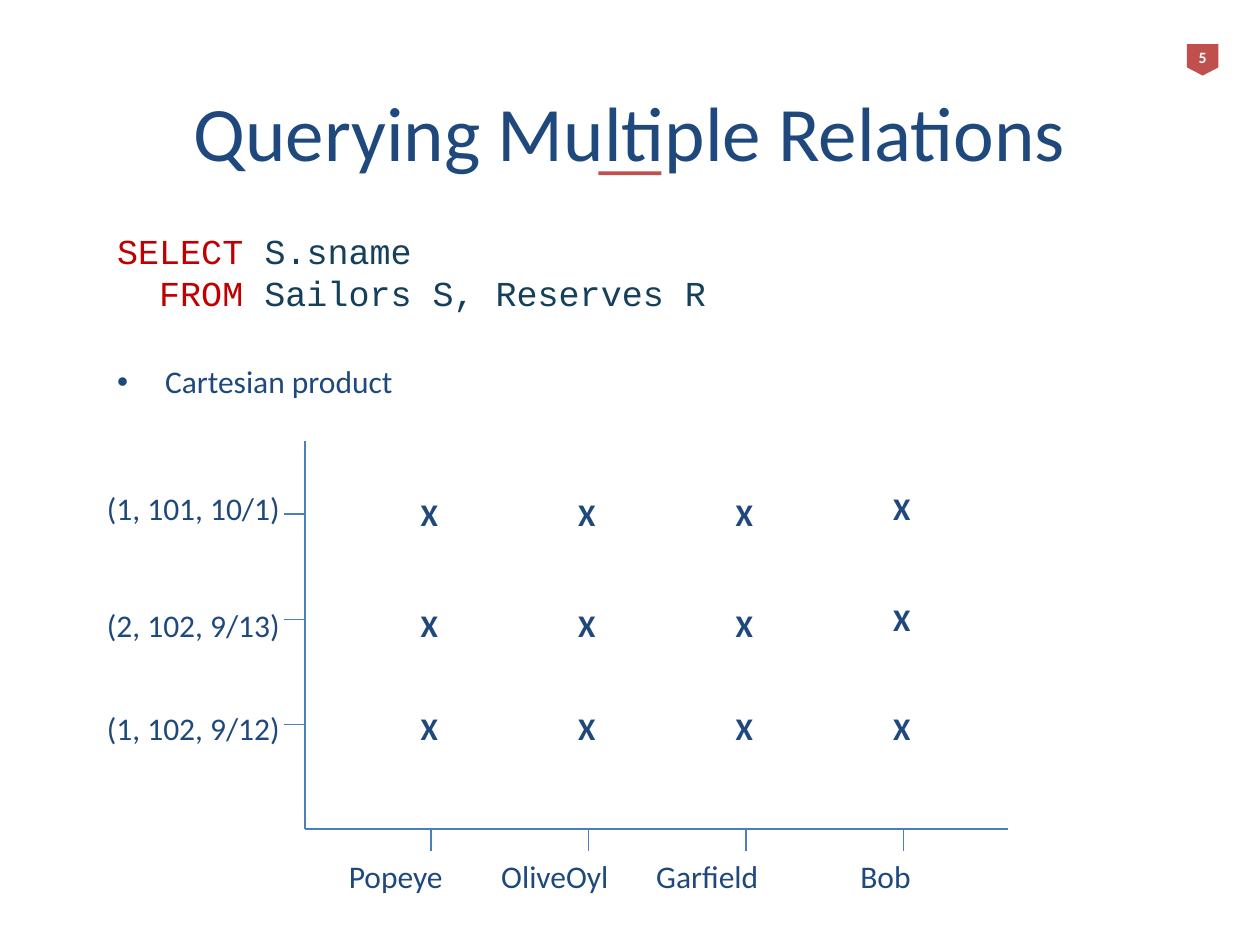
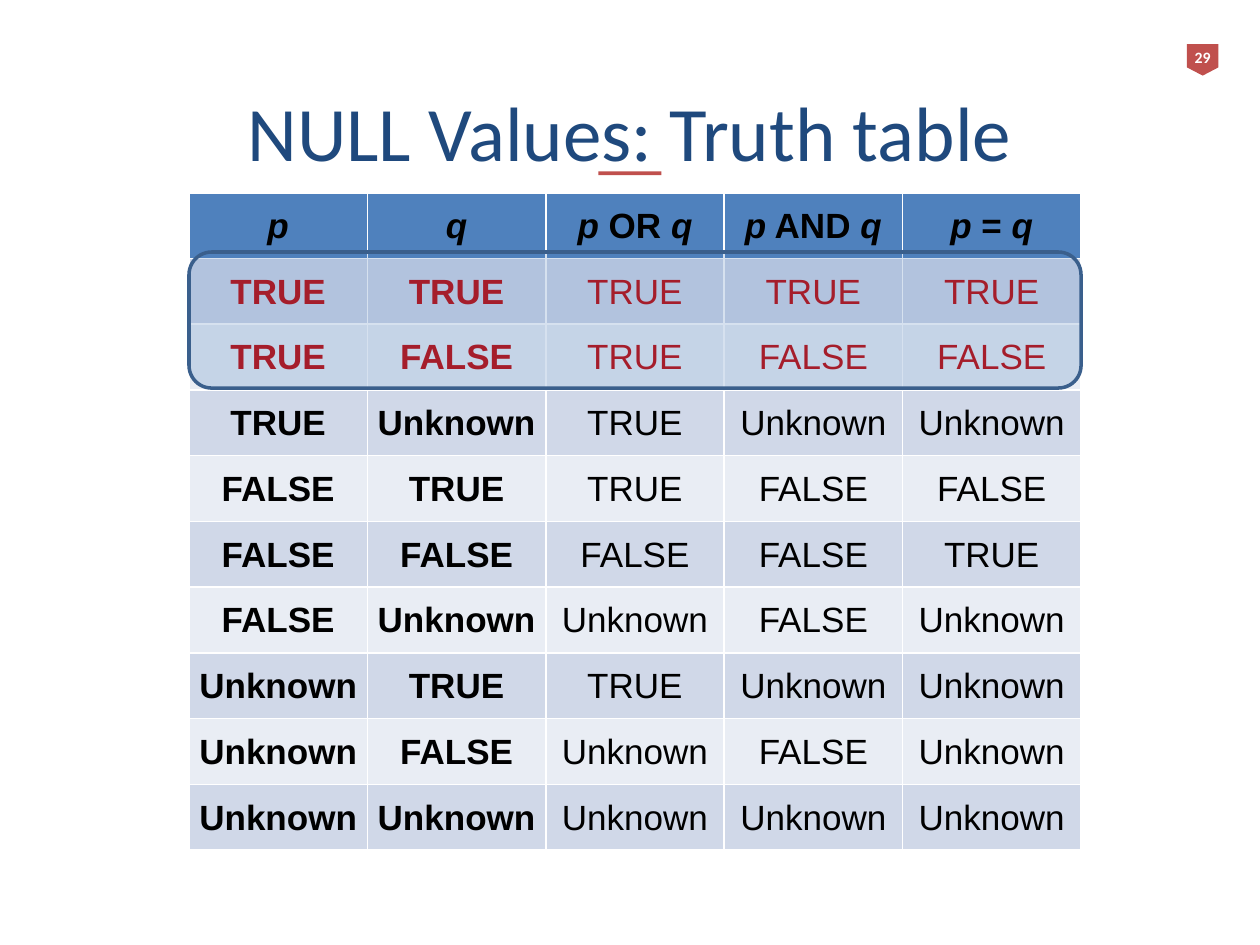
from lxml.etree import SubElement
from pptx import Presentation
from pptx.dml.color import RGBColor
from pptx.enum.shapes import MSO_CONNECTOR, MSO_SHAPE
from pptx.enum.text import MSO_ANCHOR, MSO_AUTO_SIZE, PP_ALIGN
from pptx.oxml.ns import qn
from pptx.util import Inches, Pt

NAVY = RGBColor(0x1F, 0x49, 0x7D)
ACCENT = RGBColor(0xC0, 0x50, 0x4D)
RED = RGBColor(0xC0, 0x00, 0x00)
CODE_TEAL = RGBColor(0x14, 0x40, 0x5C)
AXIS_BLUE = RGBColor(0x4B, 0x7E, 0xBC)
HEADER_BLUE = RGBColor(0x4F, 0x81, 0xBD)
OUTLINE_BLUE = RGBColor(0x3A, 0x5F, 0x8C)
BANDS = (RGBColor(0xD0, 0xD8, 0xE8), RGBColor(0xE9, 0xED, 0xF4))
BLACK = RGBColor(0, 0, 0)
WHITE = RGBColor(255, 255, 255)

TITLE_AND_BODY, TITLE_ONLY = 1, 5

CODE_LINES = [
    [("SELECT ", RED), ("S.sname", CODE_TEAL)],
    [("  FROM", RED), (" Sailors S, Reserves R", CODE_TEAL)],
]
SAILORS = [("Popeye", 2.67, 0.95), ("OliveOyl", 3.88, 1.06),
           ("Garfield", 5.11, 1.02), ("Bob", 6.73, 0.61)]
RESERVES = [("(1, 101, 10/1)", 3.83), ("(2, 102, 9/13)", 4.76), ("(1, 102, 9/12)", 5.58)]
MARK_TOPS = (3.88, 4.76, 5.58)
LAST_MARK_TOPS = (3.83, 4.71, 5.58)
AXIS_LEFT, AXIS_TOP, AXIS_RIGHT, AXIS_BOTTOM = 2.42, 3.5, 8, 6.58
FIRST_COLUMN, COLUMN_STEP = 3.42, 1.25
FIRST_ROW, ROW_STEP = 4.08, 0.835

TRUTH_HEADER = [["p"], ["q"], ["p", " OR ", "q"], ["p", " AND ", "q"], ["p", " = ", "q"]]
TRUTH_ROWS = [
    ["TRUE", "TRUE", "TRUE", "TRUE", "TRUE"],
    ["TRUE", "FALSE", "TRUE", "FALSE", "FALSE"],
    ["TRUE", "Unknown", "TRUE", "Unknown", "Unknown"],
    ["FALSE", "TRUE", "TRUE", "FALSE", "FALSE"],
    ["FALSE", "FALSE", "FALSE", "FALSE", "TRUE"],
    ["FALSE", "Unknown", "Unknown", "FALSE", "Unknown"],
    ["Unknown", "TRUE", "TRUE", "Unknown", "Unknown"],
    ["Unknown", "FALSE", "Unknown", "FALSE", "Unknown"],
    ["Unknown", "Unknown", "Unknown", "Unknown", "Unknown"],
]
HIGHLIGHTED_ROWS = 2


def place(shape, left, top, width, height):
    """Move and size a shape, in inches."""
    shape.left, shape.top = Inches(left), Inches(top)
    shape.width, shape.height = Inches(width), Inches(height)


def set_font(font, name, size, color, bold=False):
    """Set the typeface, size, colour and weight of a font."""
    font.name, font.size, font.bold = name, Pt(size), bold
    font.color.rgb = color


def add_label(slide, text, left, top, width, height=0.4, size=18, color=NAVY,
              bold=False, align=PP_ALIGN.LEFT):
    """Add a one-line text box."""
    box = slide.shapes.add_textbox(Inches(left), Inches(top), Inches(width), Inches(height))
    box.text_frame.word_wrap = False
    box.text_frame.auto_size = MSO_AUTO_SIZE.SHAPE_TO_FIT_TEXT
    paragraph = box.text_frame.paragraphs[0]
    paragraph.text = text
    paragraph.alignment = align
    set_font(paragraph.font, "Calibri", size, color, bold)


def add_block(slide, kind, left, top, width, height, fill):
    """Add a filled preset shape without outline or shadow."""
    block = slide.shapes.add_shape(kind, Inches(left), Inches(top), Inches(width), Inches(height))
    block.shadow.inherit = False
    block.fill.solid()
    block.fill.fore_color.rgb = fill
    block.line.fill.background()
    return block


def add_line(slide, x1, y1, x2, y2):
    """Add a thin axis line."""
    line = slide.shapes.add_connector(
        MSO_CONNECTOR.STRAIGHT, Inches(x1), Inches(y1), Inches(x2), Inches(y2))
    line.line.color.rgb = AXIS_BLUE
    line.line.width = Pt(0.75)
    SubElement(line._element.spPr, qn("a:effectLst"))


def add_slide(deck, layout, title, number):
    """Add a slide with its number badge, title and title rule."""
    slide = deck.slides.add_slide(deck.slide_layouts[layout])
    badge = add_block(slide, MSO_SHAPE.PENTAGON, 9.42, 0.35, 0.25, 0.25, ACCENT)
    badge.rotation = 90
    badge.adjustments[0] = 0.26
    add_label(slide, number, 9.38, 0.33, 0.33, 0.25, 9, WHITE, True, PP_ALIGN.CENTER)

    place(slide.shapes.title, 0.5, 0.73, 9, 0.57)
    frame = slide.shapes.title.text_frame
    frame.auto_size = MSO_AUTO_SIZE.NONE
    frame.vertical_anchor = MSO_ANCHOR.MIDDLE
    frame.margin_bottom = 0
    paragraph = frame.paragraphs[0]
    paragraph.text = title
    paragraph.alignment = PP_ALIGN.CENTER
    set_font(paragraph.font, "Calibri", 44, NAVY)
    add_block(slide, MSO_SHAPE.RECTANGLE, 4.75, 1.36, 0.5, 0.03, ACCENT)
    return slide


def set_bullet(paragraph, indent, character=None):
    """Give a paragraph a hanging bullet, or none."""
    properties = paragraph._p.get_or_add_pPr()
    properties.set("marL", str(Inches(indent)))
    properties.set("indent", str(-Inches(indent)))
    if character:
        SubElement(properties, qn("a:buChar"), char=character)
    else:
        SubElement(properties, qn("a:buNone"))


def fill_query(body):
    """Write the query and the bullet below it."""
    place(body, 0.83, 1.77, 8.35, 4.81)
    frame = body.text_frame
    frame.auto_size = MSO_AUTO_SIZE.NONE
    for index, spans in enumerate(CODE_LINES):
        paragraph = frame.add_paragraph() if index else frame.paragraphs[0]
        set_bullet(paragraph, 0)
        paragraph.space_before = Pt(0)
        paragraph.line_spacing = Pt(24)
        for text, color in spans:
            span = paragraph.add_run()
            span.text = text
            set_font(span.font, "Courier New", 20, color)
    paragraph = frame.add_paragraph()
    paragraph.text = "Cartesian product"
    set_bullet(paragraph, 0.38, "•")
    paragraph.space_before = Pt(28)
    set_font(paragraph.font, "Calibri", 18, NAVY)


def add_product_grid(slide):
    """Draw the axes, their labels and a mark for every pair."""
    add_line(slide, AXIS_LEFT, AXIS_TOP, AXIS_LEFT, AXIS_BOTTOM)
    add_line(slide, AXIS_LEFT, AXIS_BOTTOM, AXIS_RIGHT, AXIS_BOTTOM)
    for row, (reserve, top) in enumerate(RESERVES):
        y = FIRST_ROW + row * ROW_STEP
        add_line(slide, AXIS_LEFT, y, AXIS_LEFT - 0.17, y)
        add_label(slide, reserve, 0.75, top, 1.59)
    for column, (sailor, left, width) in enumerate(SAILORS):
        x = FIRST_COLUMN + column * COLUMN_STEP
        add_line(slide, x, AXIS_BOTTOM, x, AXIS_BOTTOM + 0.17)
        add_label(slide, sailor, left, 6.75, width)
        is_last = column == len(SAILORS) - 1
        for top in LAST_MARK_TOPS if is_last else MARK_TOPS:
            add_label(slide, "X", x - 0.18, top, 0.34, bold=True)


def format_cell(cell, spans, fill, color, bold):
    """Write a bordered, centred cell with its variables in italics."""
    cell.margin_left = cell.margin_top = cell.margin_right = Inches(0.01)
    cell.margin_bottom = 0
    cell.vertical_anchor = MSO_ANCHOR.MIDDLE
    properties = cell._tc.get_or_add_tcPr()
    for side in ("a:lnL", "a:lnR", "a:lnT", "a:lnB"):
        border = SubElement(properties, qn(side), w=str(Pt(1)))
        paint = SubElement(border, qn("a:solidFill"))
        SubElement(paint, qn("a:srgbClr"), val=str(WHITE))
    cell.fill.solid()
    cell.fill.fore_color.rgb = fill
    paragraph = cell.text_frame.paragraphs[0]
    paragraph.alignment = PP_ALIGN.CENTER
    set_font(paragraph.font, "Arial", 20, color, bold)
    for text in spans:
        span = paragraph.add_run()
        span.text = text
        set_font(span.font, "Arial", 20, color, bold)
        span.font.italic = text in ("p", "q")


def add_truth_table(slide):
    """Add the table of three-valued logic."""
    row_count, column_count = len(TRUTH_ROWS) + 1, len(TRUTH_HEADER)
    table = slide.shapes.add_table(
        row_count, column_count, Inches(1.5), Inches(1.53), Inches(7.08), Inches(5.22)).table
    for column, spans in enumerate(TRUTH_HEADER):
        format_cell(table.cell(0, column), spans, HEADER_BLUE, BLACK, True)
    for row, values in enumerate(TRUTH_ROWS):
        color = RED if row < HIGHLIGHTED_ROWS else BLACK
        for column, value in enumerate(values):
            format_cell(table.cell(row + 1, column), [value], BANDS[row % 2], color, column < 2)


def add_highlight(slide):
    """Lay a translucent frame over the highlighted rows."""
    frame = add_block(slide, MSO_SHAPE.ROUNDED_RECTANGLE, 1.5, 2, 7.08, 1.08, HEADER_BLUE)
    color = frame._element.spPr.find(qn("a:solidFill")).find(qn("a:srgbClr"))
    SubElement(color, qn("a:alpha"), val="23000")
    frame.line.color.rgb = OUTLINE_BLUE
    frame.line.width = Pt(2)


def main():
    """Build and save the deck."""
    deck = Presentation()
    deck.slide_width, deck.slide_height = Inches(10), Inches(7.5)

    slide = add_slide(deck, TITLE_AND_BODY, "Querying Multiple Relations", "5")
    fill_query(slide.placeholders[1])
    add_product_grid(slide)

    slide = add_slide(deck, TITLE_ONLY, "NULL Values: Truth table", "29")
    add_truth_table(slide)
    add_highlight(slide)

    deck.save("out.pptx")


if __name__ == "__main__":
    main()
